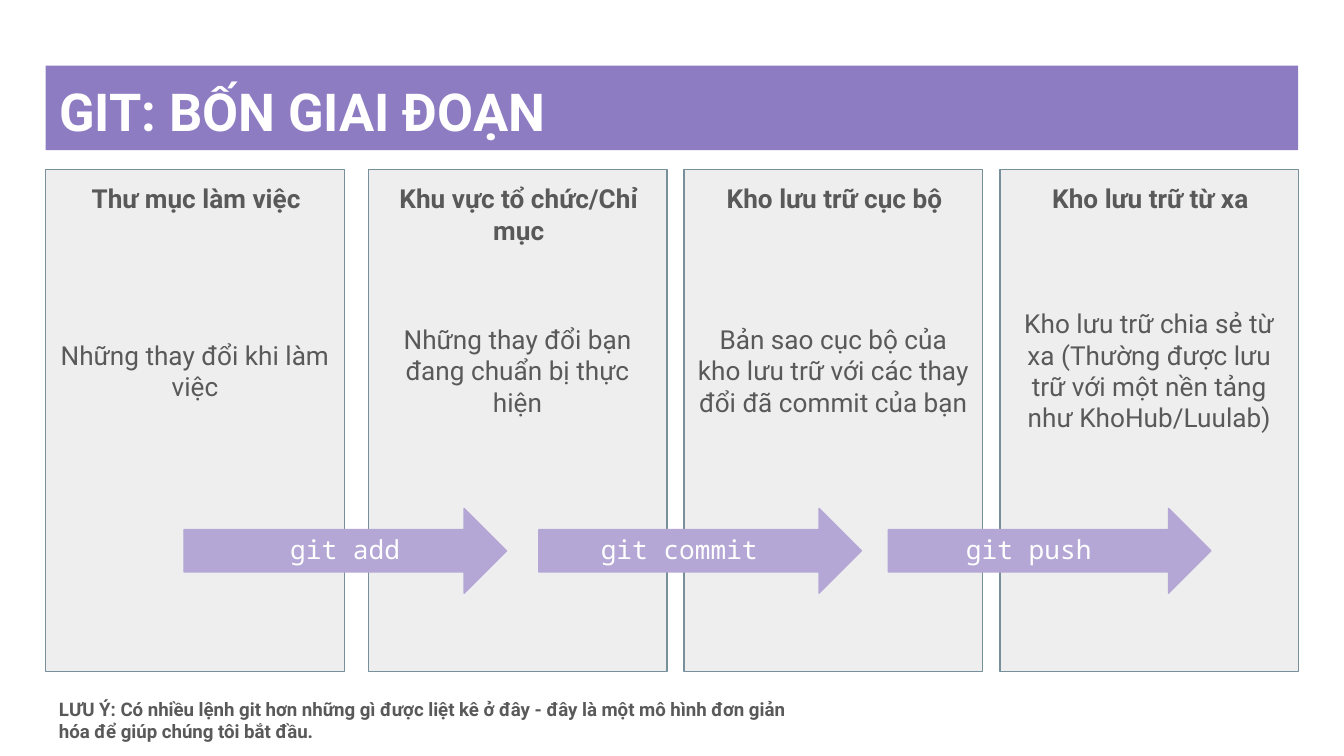
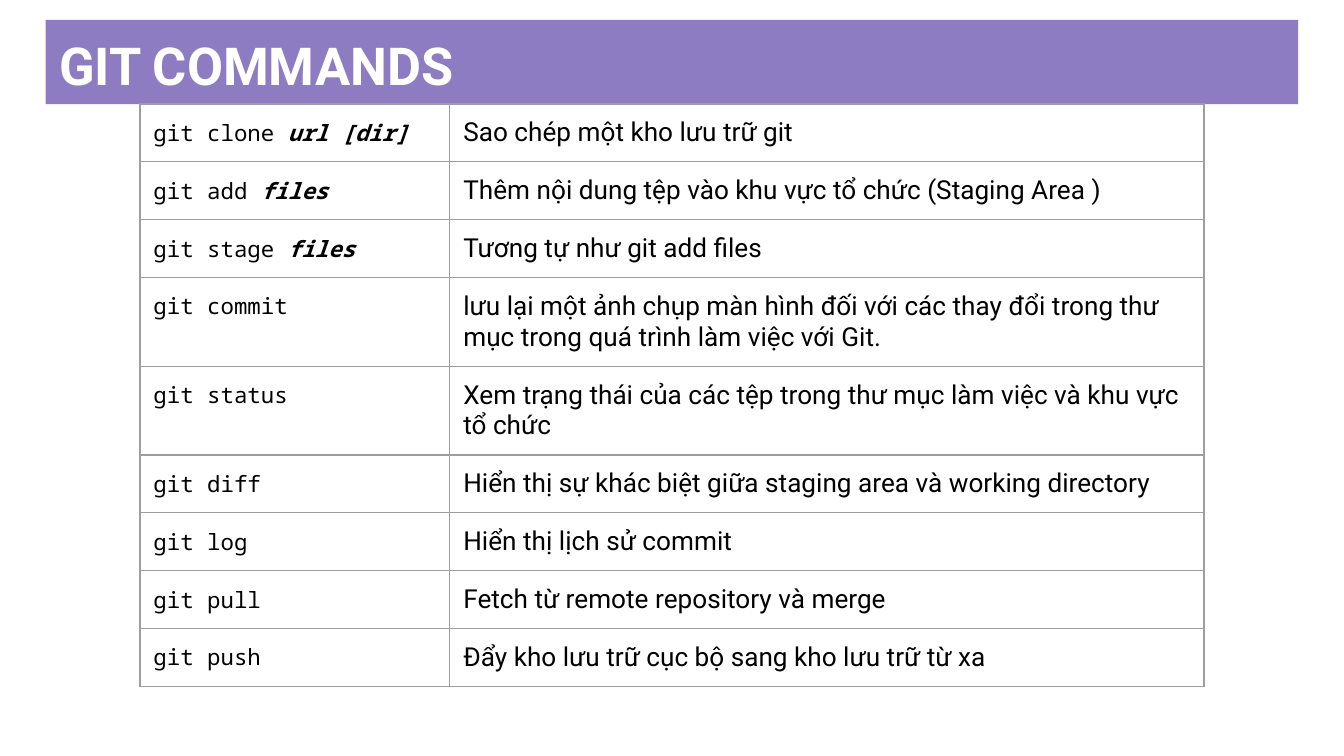
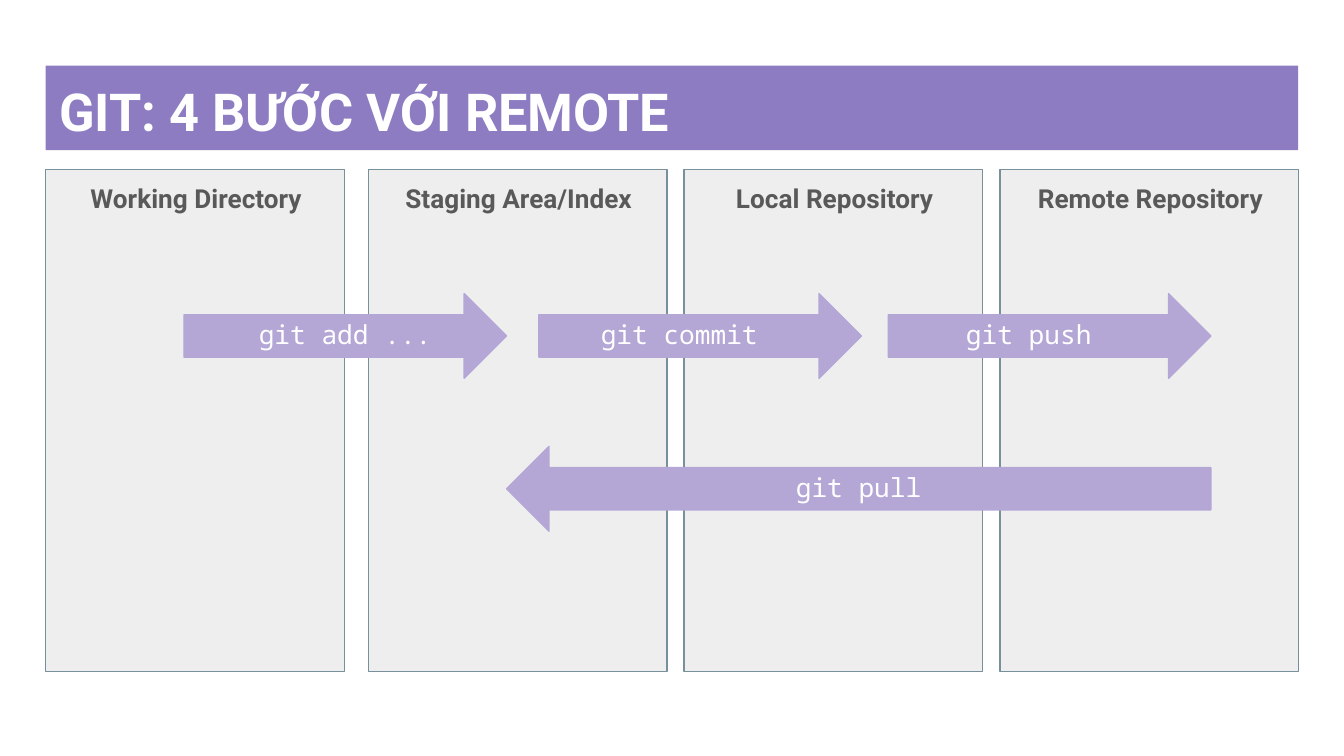
from pptx import Presentation
from pptx import util as u
from pptx.dml.color import RGBColor
from pptx.enum import shapes, text
from pptx.oxml import parse_xml
from pptx.oxml.ns import nsdecls

PURPLE = RGBColor(0x8E, 0x7C, 0xC3)
LILAC = RGBColor(0xB4, 0xA7, 0xD6)
PALE_GREY = RGBColor(0xEE, 0xEE, 0xEE)
SLATE = RGBColor(0x78, 0x90, 0x9C)
DARK_GREY = RGBColor(0x59, 0x59, 0x59)
BORDER_GREY = RGBColor(0x9E, 0x9E, 0x9E)
WHITE = RGBColor(0xFF, 0xFF, 0xFF)
BLACK = RGBColor(0x00, 0x00, 0x00)

SANS, MONO = "Roboto", "Noto Sans Mono"
TITLE = {"name": SANS, "size": u.Pt(28), "bold": True, "color": WHITE}
STAGE_NAME = {"name": SANS, "size": u.Pt(14), "bold": True, "color": DARK_GREY}
STAGE_DETAIL = {**STAGE_NAME, "bold": False}
NOTE = {**STAGE_NAME, "size": u.Pt(10)}
ARROW_LABEL = {"name": MONO, "size": u.Pt(14), "color": WHITE}
COMMAND = {"name": MONO, "size": u.Pt(12), "color": BLACK}
ARGUMENT = {**COMMAND, "bold": True, "italic": True}
MEANING = {"name": SANS, "size": u.Pt(14), "color": BLACK}

INSET = u.Pt(7.2)
FRAME = {"word_wrap": True, "auto_size": text.MSO_AUTO_SIZE.NONE,
         **{f"margin_{side}": INSET for side in ("left", "top", "right", "bottom")}}
LEFT, CENTER = text.PP_ALIGN.LEFT, text.PP_ALIGN.CENTER
TOP, MIDDLE = text.MSO_ANCHOR.TOP, text.MSO_ANCHOR.MIDDLE

SLIDE_WIDTH, SLIDE_HEIGHT = 720, 405
MARGIN = 24.5
BAND_HEIGHT = 45.2
BAND_TOP = 35.2
STAGE_LEFTS = (MARGIN, 197.3, 366.5, 535.7)
STAGE_TOP, STAGE_WIDTH, STAGE_HEIGHT = 90.7, 160, 269.2
ARROW_HEIGHT = 45.4
FORWARD_LEFTS = (98.6, 288.7, 475.9)
FORWARD_WIDTH = 172.8
SHORT_LABEL = 150.5

STAGES = [
    ("Thư mục làm việc", "Những thay đổi khi làm việc"),
    ("Khu vực tổ chức/Chỉ mục", "Những thay đổi bạn đang chuẩn bị thực hiện"),
    ("Kho lưu trữ cục bộ",
     "Bản sao cục bộ của kho lưu trữ với các thay đổi đã commit của bạn"),
    ("Kho lưu trữ từ xa",
     "Kho lưu trữ chia sẻ từ xa (Thường được lưu trữ với một nền tảng như KhoHub/Luulab)"),
]
REMOTE_STAGES = [(name, None) for name in (
    "Working Directory", "Staging Area/Index", "Local Repository", "Remote Repository")]
COMMANDS = [
    ("git clone ", "url [dir]", "Sao chép một kho lưu trữ git"),
    ("git add ", "files", "Thêm nội dung tệp vào khu vực tổ chức (Staging Area )"),
    ("git stage ", "files", "Tương tự như git add files"),
    ("git commit", "", "lưu lại một ảnh chụp màn hình đối với các thay đổi trong thư mục "
     "trong quá trình làm việc với Git."),
    ("git status", "", "Xem trạng thái của các tệp trong thư mục làm việc và khu vực tổ chức"),
    ("git diff", "", "Hiển thị sự khác biệt giữa staging area và working directory"),
    ("git log", "", "Hiển thị lịch sử commit"),
    ("git pull", "", "Fetch từ remote repository và merge"),
    ("git push", "", "Đẩy kho lưu trữ cục bộ sang kho lưu trữ từ xa"),
]


def points(*lengths):
    return [u.Pt(length) for length in lengths]


def add_run(paragraph, words, style):
    run = paragraph.add_run()
    run.text = words
    for key, value in style.items():
        if key == "color":
            run.font.color.rgb = value
        else:
            setattr(run.font, key, value)


def write(frame, words, style, align=LEFT, anchor=TOP):
    for key, value in {**FRAME, "vertical_anchor": anchor}.items():
        setattr(frame, key, value)
    frame.paragraphs[0].alignment = align
    add_run(frame.paragraphs[0], words, style)


def add_label(slide, box, words, style, align=CENTER, anchor=TOP):
    label = slide.shapes.add_textbox(*points(*box))
    write(label.text_frame, words, style, align, anchor)


def add_block(slide, outline, box, fill, line):
    block = slide.shapes.add_shape(outline, *points(*box))
    block.shadow.inherit = False
    block.fill.solid()
    block.fill.fore_color.rgb = fill
    block.line.color.rgb = line
    block.line.width = u.Pt(0.75)


def add_titled_slide(deck, words, top=BAND_TOP):
    slide = deck.slides.add_slide(deck.slide_layouts[5])
    band = slide.shapes.title
    box = points(MARGIN, top, SLIDE_WIDTH - 2 * MARGIN, BAND_HEIGHT)
    for key, value in zip(("left", "top", "width", "height"), box):
        setattr(band, key, value)
    band.fill.solid()
    band.fill.fore_color.rgb = PURPLE
    write(band.text_frame, words, TITLE)
    return slide


def add_stage(slide, box, name, detail):
    left, top, width, height = box
    add_block(slide, shapes.MSO_SHAPE.RECTANGLE, box, PALE_GREY, SLATE)
    add_label(slide, (left, top, width + 1.2, 30), name, STAGE_NAME)
    if detail:
        add_label(slide, (left, top + 26, width, 163.4), detail, STAGE_DETAIL, anchor=MIDDLE)


def add_stages(slide, stages):
    for left, (name, detail) in zip(STAGE_LEFTS, stages):
        add_stage(slide, (left, STAGE_TOP, STAGE_WIDTH, STAGE_HEIGHT), name, detail)


def add_arrow(slide, box, command, label_width, outline=shapes.MSO_SHAPE.RIGHT_ARROW):
    left, top, _, _ = box
    add_block(slide, outline, box, LILAC, LILAC)
    add_label(slide, (left, top + 6.2, label_width, 14.4), command, ARROW_LABEL)


def add_forward_arrows(slide, top, commands):
    label_widths = (FORWARD_WIDTH, SHORT_LABEL, SHORT_LABEL)
    for left, command, label_width in zip(FORWARD_LEFTS, commands, label_widths):
        add_arrow(slide, (left, top, FORWARD_WIDTH, ARROW_HEIGHT), command, label_width)


def format_cell(cell):
    for key in ("left", "top", "right", "bottom"):
        setattr(cell, f"margin_{key}", INSET)
    properties = cell._tc.get_or_add_tcPr()
    for side in "LRTB":
        properties.append(parse_xml(
            f'<a:ln{side} {nsdecls("a")} w="{u.Pt(0.75)}"><a:solidFill>'
            f'<a:srgbClr val="{BORDER_GREY}"/></a:solidFill></a:ln{side}>'))
    cell.fill.background()


def add_command_table(slide, box, column_widths):
    table = slide.shapes.add_table(len(COMMANDS), 2, *points(*box)).table
    table.first_row = table.horz_banding = False
    for column, width in zip(table.columns, column_widths):
        column.width = u.Pt(width)
    for row, (command, argument, meaning) in zip(table.rows, COMMANDS):
        usage, explanation = row.cells
        add_run(usage.text_frame.paragraphs[0], command, COMMAND)
        if argument:
            add_run(usage.text_frame.paragraphs[0], argument, ARGUMENT)
        add_run(explanation.text_frame.paragraphs[0], meaning, MEANING)
        for cell in row.cells:
            format_cell(cell)


def build_four_stages(deck):
    slide = add_titled_slide(deck, "GIT: BỐN GIAI ĐOẠN")
    add_stages(slide, STAGES)
    add_forward_arrows(slide, 272.4, ("git add", "git commit", "git push"))
    add_label(slide, (MARGIN, 366.4, 413.2, 33.2),
              "LƯU Ý: Có nhiều lệnh git hơn những gì được liệt kê ở đây - đây là một mô hình "
              "đơn giản hóa để giúp chúng tôi bắt đầu.", NOTE, LEFT)


def build_commands(deck):
    slide = add_titled_slide(deck, "GIT COMMANDS", top=10.6)
    add_command_table(slide, (75, 55.7, 570, 30.5 * len(COMMANDS)), (166, 404))


def build_remote_steps(deck):
    slide = add_titled_slide(deck, "GIT: 4 BƯỚC VỚI REMOTE")
    add_stages(slide, REMOTE_STAGES)
    add_forward_arrows(slide, 157.3, ("git add ...", "git commit", "git push"))
    pull_left = FORWARD_LEFTS[0] + FORWARD_WIDTH
    pull_width = FORWARD_LEFTS[-1] + FORWARD_WIDTH - pull_left
    add_arrow(slide, (pull_left, 239.2, pull_width, ARROW_HEIGHT), "git pull",
              pull_width, shapes.MSO_SHAPE.LEFT_ARROW)


def main():
    deck = Presentation()
    deck.slide_width, deck.slide_height = points(SLIDE_WIDTH, SLIDE_HEIGHT)
    for build in (build_four_stages, build_commands, build_remote_steps):
        build(deck)
    deck.save("out.pptx")


if __name__ == "__main__":
    main()
